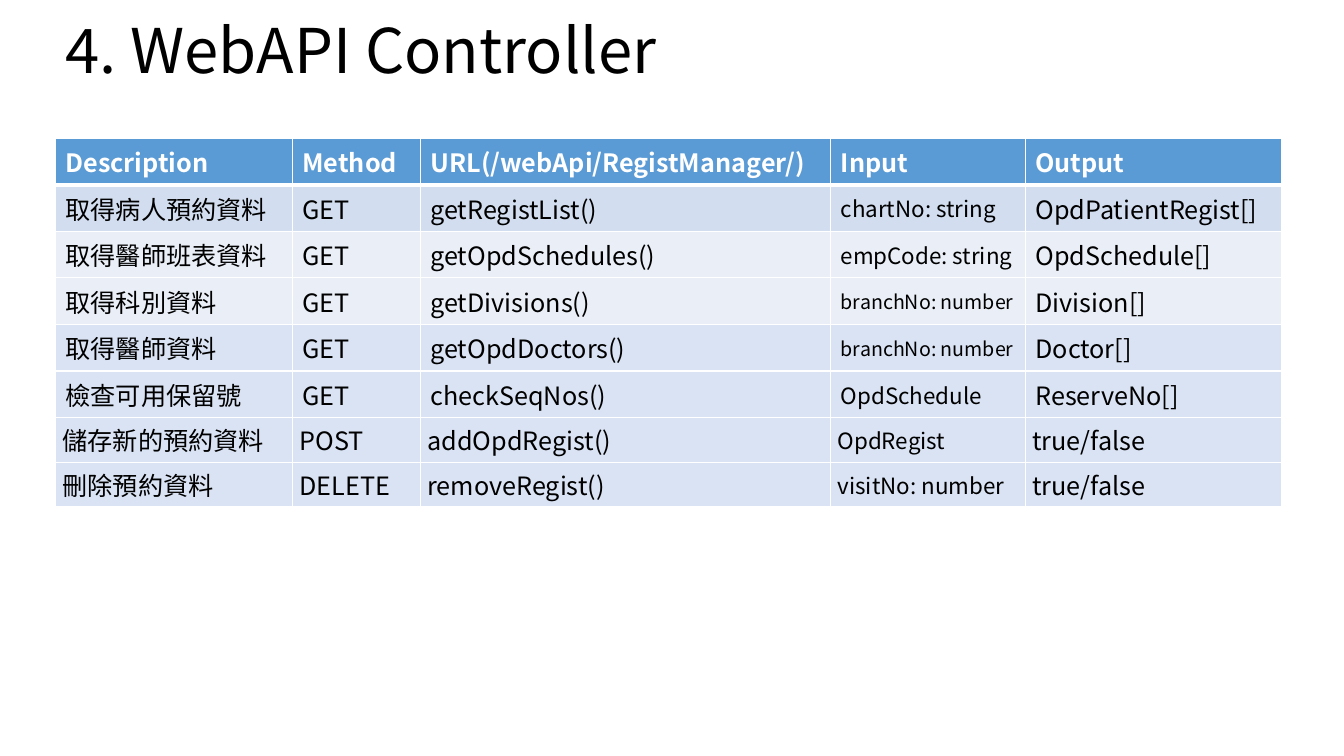
from lxml import etree
from pptx import Presentation
from pptx import util as u
from pptx.dml.color import RGBColor
from pptx.enum import text
from pptx.oxml import ns

COLORS = {
    "text": "000000",
    "white": "FFFFFF",
    "header": "5B9BD5",
    "first": "D2DEEF",
    "light": "EAEFF7",
    "blue": "DAE3F3",
}
FONT = "Noto Sans CJK SC"
COLUMN_WIDTHS = [2.35, 1.27, 4.07, 1.93, 2.54]
ROW_HEIGHT = 0.31
INPUT_COLUMN = 3
WIDE_INSETS = {"margin_left": 0.1, "margin_right": 0.1, "margin_top": 0.05, "margin_bottom": 0.05}
TIGHT_INSETS = {"margin_left": 0.07, "margin_right": 0.07, "margin_top": 0.04, "margin_bottom": 0.04}

HEADER = ["Description", "Method", "URL(/webApi/RegistManager/)", "Input", "Output"]
ENDPOINTS = [
    ("first", 16, WIDE_INSETS, ["取得病人預約資料", "GET", "getRegistList()", "chartNo: string", "OpdPatientRegist[]"]),
    ("light", 16, WIDE_INSETS, ["取得醫師班表資料", "GET", "getOpdSchedules()", "empCode: string", "OpdSchedule[]"]),
    ("light", 14, WIDE_INSETS, ["取得科別資料", "GET", "getDivisions()", "branchNo: number", "Division[]"]),
    ("blue", 14, WIDE_INSETS, ["取得醫師資料", "GET", "getOpdDoctors()", "branchNo: number", "Doctor[]"]),
    ("blue", 16, WIDE_INSETS, ["檢查可用保留號", "GET", "checkSeqNos()", "OpdSchedule", "ReserveNo[]"]),
    ("blue", 16, TIGHT_INSETS, ["儲存新的預約資料", "POST", "addOpdRegist()", "OpdRegist", "true/false"]),
    ("blue", 16, TIGHT_INSETS, ["刪除預約資料", "DELETE", "removeRegist()", "visitNo: number", "true/false"]),
]


class SlideBuilder:
    def __init__(self, slide, font, colors):
        self.slide = slide
        self.font = font
        self.colors = colors

    def color(self, name):
        return RGBColor.from_string(self.colors[name])

    def add_words(self, paragraph, words, size, color, bold=False):
        run = paragraph.add_run()
        run.text = words
        formats = {"name": self.font, "size": u.Pt(size), "bold": bold}
        for name, value in formats.items():
            setattr(run.font, name, value)
        run.font.color.rgb = self.color(color)
        properties = run._r.get_or_add_rPr()
        etree.SubElement(properties, ns.qn("a:ea"), typeface=self.font)
        paragraph.alignment = text.PP_ALIGN.LEFT

    def title(self, words, left, top, width, height, size):
        shape = self.slide.shapes.title
        box = {"left": left, "top": top, "width": width, "height": height}
        for name, value in box.items():
            setattr(shape, name, u.Inches(value))
        frame = shape.text_frame
        formats = {
            "word_wrap": True,
            "auto_size": text.MSO_AUTO_SIZE.NONE,
            "vertical_anchor": text.MSO_ANCHOR.MIDDLE,
        }
        for name, value in formats.items():
            setattr(frame, name, value)
        paragraph = frame.paragraphs[0]
        paragraph.line_spacing = 0.9
        self.add_words(paragraph, words, size, "text")

    def borders(self, cell, widths):
        properties = cell._tc.get_or_add_tcPr()
        for position, (side, width) in enumerate(widths.items()):
            line = etree.Element(ns.qn(f"a:ln{side}"), w=str(u.Pt(width)))
            fill = etree.SubElement(line, ns.qn("a:solidFill"))
            etree.SubElement(fill, ns.qn("a:srgbClr"), val=self.colors["white"])
            properties.insert(position, line)

    def cell(self, cell, words, fill, size, color, bold, insets, widths):
        cell.fill.solid()
        cell.fill.fore_color.rgb = self.color(fill)
        cell.vertical_anchor = text.MSO_ANCHOR.MIDDLE
        for name, value in insets.items():
            setattr(cell, name, u.Inches(value))
        self.borders(cell, widths)
        self.add_words(cell.text_frame.paragraphs[0], words, size, color, bold)

    def table(self, header, endpoints, left, top, width, height):
        rows = [("header", 18, WIDE_INSETS, header)] + endpoints
        shape = self.slide.shapes.add_table(
            len(rows), len(header), u.Inches(left), u.Inches(top), u.Inches(width), u.Inches(height)
        )
        table = shape.table
        for column, column_width in zip(table.columns, COLUMN_WIDTHS):
            column.width = u.Inches(column_width)
        for index, (fill, input_size, insets, words) in enumerate(rows):
            table.rows[index].height = u.Inches(ROW_HEIGHT)
            is_header = index == 0
            widths = {"L": 1, "R": 1, "T": 3 if index == 1 else 1, "B": 3 if is_header else 1}
            color = "white" if is_header else "text"
            for column, word in enumerate(words):
                size = input_size if column == INPUT_COLUMN else 18
                self.cell(table.cell(index, column), word, fill, size, color, is_header, insets, widths)
        shape.height = u.Inches(height)


def main():
    presentation = Presentation()
    presentation.slide_width = u.Inches(13.33)
    presentation.slide_height = u.Inches(7.5)
    slide = presentation.slides.add_slide(presentation.slide_layouts[5])
    builder = SlideBuilder(slide, FONT, COLORS)
    builder.title("4. WebAPI Controller", 0.55, 0.14, 12.17, 0.78, 44)
    builder.table(HEADER, ENDPOINTS, 0.55, 1.37, 12.17, 3.15)
    presentation.save("out.pptx")


if __name__ == "__main__":
    main()
